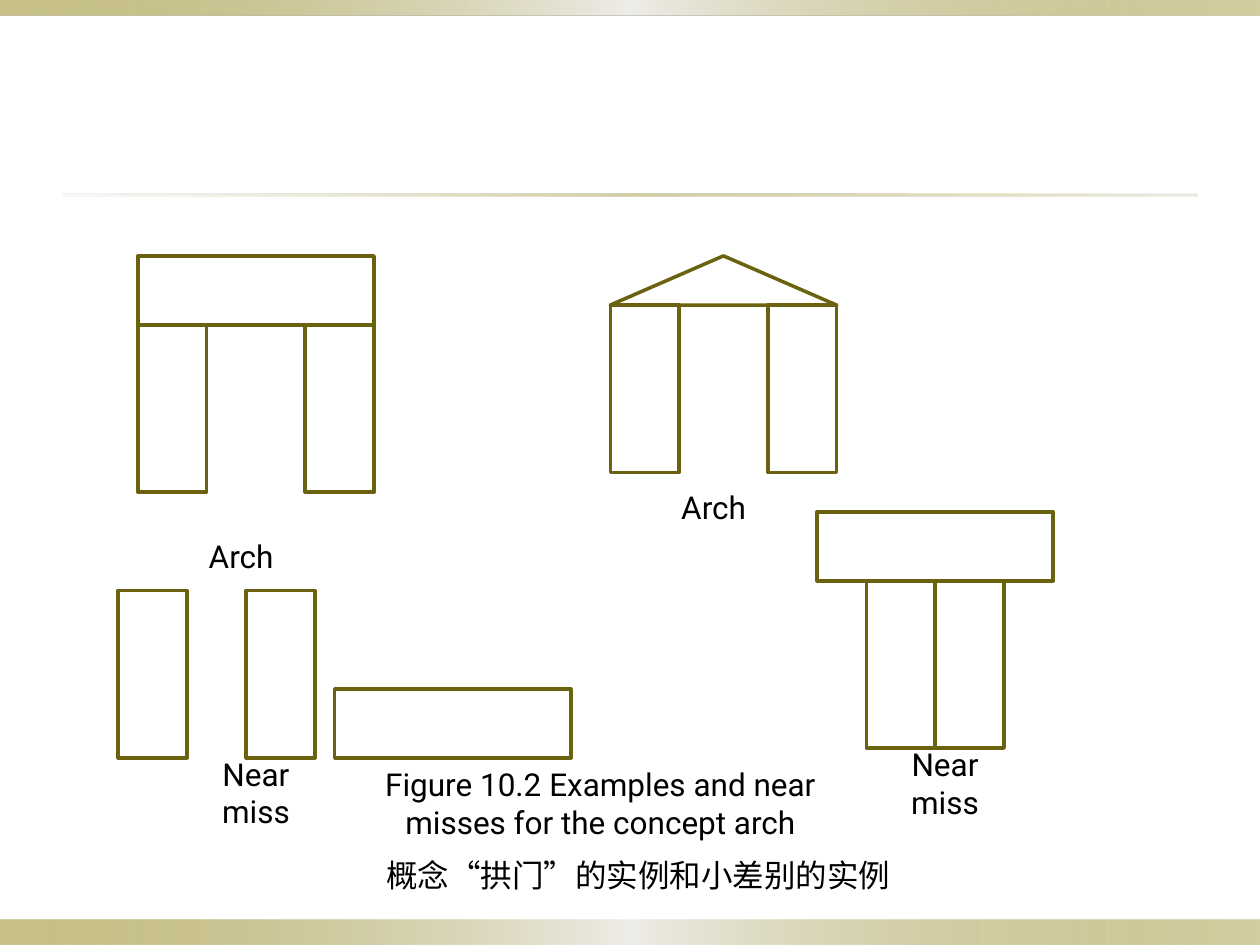
from lxml import etree
from pptx import Presentation
from pptx.dml.color import RGBColor
from pptx.enum import shapes as kinds, text as txt
from pptx.oxml import ns
from pptx.util import Pt

GRID = 45 / 8
BLOCK_W, BLOCK_H = 7 * GRID, 17 * GRID
BEAM_W, BEAM_H = 24 * GRID, 7 * GRID
ROOF_W, ROOF_H = 23 * GRID, 5 * GRID
LABEL_H = 5 * GRID
RECT = kinds.MSO_SHAPE.RECTANGLE
ROOF = kinds.MSO_SHAPE.ISOSCELES_TRIANGLE
EDGE_STOPS = [(0, "918415", 50), (50, "EEEDE8", 100), (100, "918415", 40)]
RULE_STOPS = [(0, "DCD9CC", 20), (50, "918415", 40), (100, "DCD9CC", 50)]


def color(value):
    return RGBColor.from_string(value)


def add_plain(slide, kind, left, top, width, height):
    shape = slide.shapes.add_shape(kind, Pt(left), Pt(top), Pt(width), Pt(height))
    shape.shadow.inherit = False
    return shape


def add_band(slide, left, top, width, height, stops):
    band = add_plain(slide, RECT, left, top, width, height)
    band.line.fill.background()
    band.fill.gradient()
    band.fill.gradient_angle = 0
    stop_list = band.fill._fill._gradFill.find(ns.qn("a:gsLst"))
    for stop in list(stop_list):
        stop_list.remove(stop)
    for position, value, opacity in stops:
        stop = etree.SubElement(stop_list, ns.qn("a:gs"), pos=str(position * 1000))
        tint = etree.SubElement(stop, ns.qn("a:srgbClr"), val=value)
        etree.SubElement(tint, ns.qn("a:alpha"), val=str(opacity * 1000))


def add_block(slide, left, top, width=BLOCK_W, height=BLOCK_H, kind=RECT):
    block = add_plain(slide, kind, left, top, width, height)
    block.fill.background()
    block.line.color.rgb = color("6B6210")
    block.line.width = Pt(2)
    etree.SubElement(block.line._get_or_add_ln(), ns.qn("a:round"))


def add_label(slide, words, left, top, width, height=LABEL_H, font="Roboto",
              align=txt.PP_ALIGN.CENTER, anchor=txt.MSO_ANCHOR.MIDDLE):
    frame = slide.shapes.add_textbox(Pt(left), Pt(top), Pt(width), Pt(height)).text_frame
    frame.word_wrap = True
    frame.vertical_anchor = anchor
    paragraph = frame.paragraphs[0]
    paragraph.text = words
    paragraph.alignment = align
    paragraph.font.name = font
    paragraph.font.size = Pt(18)
    paragraph.font.color.rgb = color("000000")


def add_beam_arch(slide, left, top):
    add_block(slide, left, top, BEAM_W, BEAM_H)
    for pillar_left in (left, left + BEAM_W - BLOCK_W):
        add_block(slide, pillar_left, top + BEAM_H)
    add_label(slide, "Arch", left + 4 * GRID, top + 28 * GRID, 13 * GRID)


def add_roof_arch(slide, left, top):
    add_block(slide, left, top, ROOF_W, ROOF_H, ROOF)
    for pillar_left in (left, left + ROOF_W - BLOCK_W):
        add_block(slide, pillar_left, top + ROOF_H)
    add_label(slide, "Arch", left + 4 * GRID, top + 23 * GRID, 13 * GRID)


def add_fallen_beam(slide, left, top):
    for pillar_left in (left, left + 13 * GRID):
        add_block(slide, pillar_left, top)
    add_block(slide, left + 22 * GRID, top + BLOCK_H - BEAM_H, BEAM_W, BEAM_H)
    add_label(slide, "Near miss", left + 6 * GRID, top + 18 * GRID, 16 * GRID)


def add_touching_pillars(slide, left, top):
    add_block(slide, left, top, BEAM_W, BEAM_H)
    for pillar_left in (left + 5 * GRID, left + 5 * GRID + BLOCK_W):
        add_block(slide, pillar_left, top + BEAM_H)
    add_label(slide, "Near miss", left + 5 * GRID, top + 25 * GRID, 16 * GRID)


def add_caption(slide, left, top):
    add_label(slide, "Figure 10.2 Examples and near misses for the concept arch",
              left, top, 54 * GRID)
    add_label(slide, "概念“拱门”的实例和小差别的实例", left + 4 * GRID, top + 40.5,
              67 * GRID, 28.8, "Arial", txt.PP_ALIGN.LEFT, txt.MSO_ANCHOR.TOP)


def add_frame(slide, width, height):
    add_band(slide, 0, height - 14.4, width, 14.4, EDGE_STOPS)
    add_band(slide, 0, 0, width, 8.64, EDGE_STOPS)
    add_band(slide, 36, 110.88, width - 72, 1.44, RULE_STOPS)


def main():
    deck = Presentation()
    deck.slide_width, deck.slide_height = Pt(720), Pt(540)
    slide = deck.slides.add_slide(deck.slide_layouts[6])
    add_frame(slide, 720, 540)
    add_beam_arch(slide, 14 * GRID, 26 * GRID)
    add_roof_arch(slide, 62 * GRID, 26 * GRID)
    add_fallen_beam(slide, 12 * GRID, 60 * GRID)
    add_touching_pillars(slide, 83 * GRID, 52 * GRID)
    add_caption(slide, 34 * GRID, 444.9)
    deck.save("out.pptx")


if __name__ == "__main__":
    main()
